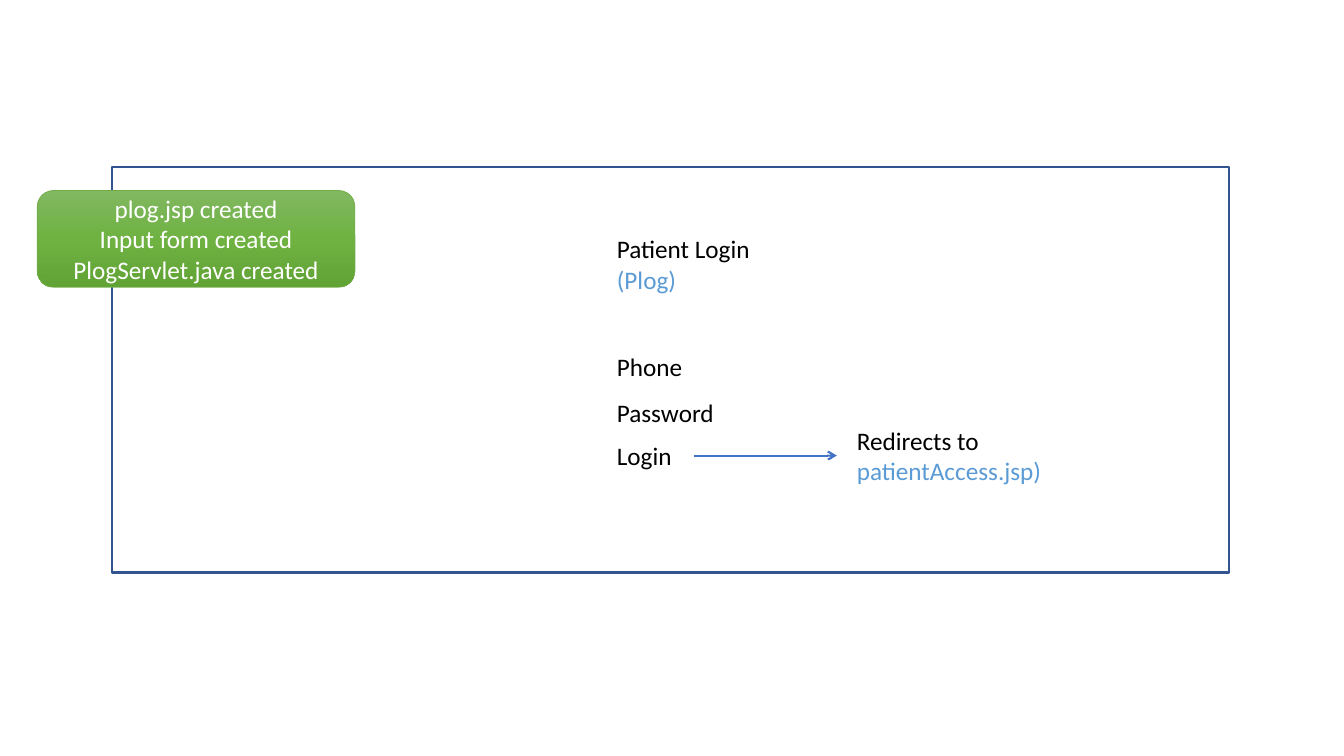
from copy import deepcopy

from lxml import etree
from pptx import Presentation
from pptx.dml.color import RGBColor
from pptx.enum.shapes import MSO_CONNECTOR, MSO_SHAPE
from pptx.enum.text import MSO_ANCHOR, MSO_AUTO_SIZE, PP_ALIGN
from pptx.oxml.ns import qn
from pptx.util import Inches, Pt

RECTANGLE = MSO_SHAPE.RECTANGLE
ROUNDED = MSO_SHAPE.ROUNDED_RECTANGLE
STRAIGHT = MSO_CONNECTOR.STRAIGHT
MIDDLE = MSO_ANCHOR.MIDDLE
FIT_TEXT = MSO_AUTO_SIZE.SHAPE_TO_FIT_TEXT
LEFT, CENTER = PP_ALIGN.LEFT, PP_ALIGN.CENTER

COLORS = {
    "text": "000000",
    "page_name": "5B9BD5",
    "frame": "325491",
    "arrow": "4472C4",
    "status_text": "FFFFFF",
    "status_line": "70AD47",
    "status_top": "81B861",
    "status_middle": "6FB242",
    "status_bottom": "62A336",
}


def rgb(name):
    return RGBColor.from_string(COLORS[name])


def write_text(frame, paragraphs, color="text", align=LEFT, size=18, font="Calibri"):
    frame.word_wrap = True
    for index, runs in enumerate(paragraphs):
        paragraph = frame.add_paragraph() if index else frame.paragraphs[0]
        paragraph.alignment = align
        for words, run_color in runs:
            run = paragraph.add_run()
            run.text = words
            run.font.name = font
            run.font.size = Pt(size)
            run.font.color.rgb = rgb(run_color or color)


def add_label(slide, left, top, width, height, paragraphs):
    label = slide.shapes.add_textbox(
        Inches(left), Inches(top), Inches(width), Inches(height))
    write_text(label.text_frame, paragraphs)
    label.text_frame.auto_size = FIT_TEXT


def add_block(slide, preset, box, line_color, line_width):
    block = slide.shapes.add_shape(preset, *map(Inches, box))
    block.shadow.inherit = False
    block.line.color.rgb = rgb(line_color)
    block.line.width = Pt(line_width)
    return block


def add_redirect_arrow(slide, left, top, length):
    arrow = slide.shapes.add_connector(
        STRAIGHT, Inches(left), Inches(top), Inches(left + length), Inches(top))
    arrow.line.color.rgb = rgb("arrow")
    arrow.line.width = Pt(1.5)
    etree.SubElement(arrow.line._get_or_add_ln(), qn("a:tailEnd"), type="arrow")
    etree.SubElement(arrow._element.spPr, qn("a:effectLst"))


def add_login_page(slide, left, top, width, height):
    frame = add_block(slide, RECTANGLE, (left, top, width, height), "frame", 1.5)
    frame.fill.background()
    form_left = left + 4.91
    add_label(slide, form_left, top + 0.61, 2.63, 0.71,
              [[("Patient Login", None)], [("(Plog)", "page_name")]])
    fields = [("Phone", 1.78, 1.53), ("Password", 2.23, 1.63), ("Login", 2.66, 1.53)]
    for field, offset, field_width in fields:
        add_label(slide, form_left, top + offset, field_width, 0.4, [[(field, None)]])
    add_redirect_arrow(slide, left + 5.77, top + 2.86, 1.42)
    add_label(slide, left + 7.29, top + 2.51, 2.62, 0.71,
              [[("Redirects to ", None), ("patientAccess.jsp)", "page_name")]])


def add_status(slide, left, top, width, height, lines):
    status = add_block(slide, ROUNDED, (left, top, width, height), "status_line", 0.5)
    status.fill.gradient()
    status.fill.gradient_angle = 270
    stop_list = status._element.spPr.find(".//" + qn("a:gsLst"))
    stop_list.append(deepcopy(stop_list[-1]))
    shades = ("status_top", "status_middle", "status_bottom")
    for index, (stop, shade) in enumerate(zip(status.fill.gradient_stops, shades)):
        stop.position = index / 2
        stop.color.rgb = rgb(shade)
    status.text_frame.vertical_anchor = MIDDLE
    write_text(status.text_frame, [[(line, None)] for line in lines],
               color="status_text", align=CENTER)


presentation = Presentation()
presentation.slide_width = Inches(13.33)
presentation.slide_height = Inches(7.5)
login_slide = presentation.slides.add_slide(presentation.slide_layouts[6])
add_login_page(login_slide, 1.11, 1.66, 11.08, 4.02)
add_status(login_slide, 0.37, 1.89, 3.15, 0.96,
           ["plog.jsp created", "Input form created", "PlogServlet.java created"])
presentation.save("out.pptx")
